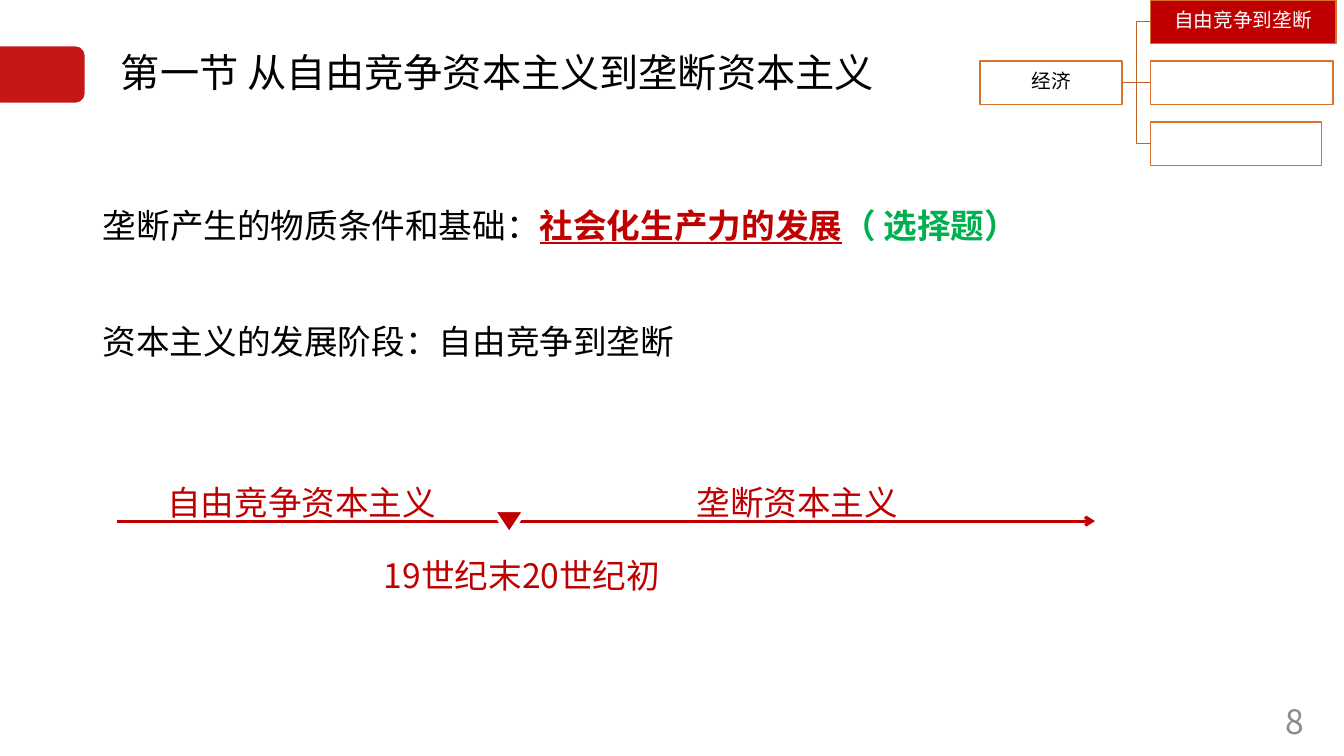
import pptx
import pptx.dml.color
import pptx.enum.shapes
import pptx.enum.text
import pptx.oxml.ns
import pptx.util
from lxml import etree
from pptx.util import Inches

FONT = "Noto Sans CJK SC"
COLORS = {
    "red": "C00000",
    "green": "00B050",
    "black": "000000",
    "white": "FFFFFF",
    "gray": "8C8C8C",
    "box_line": "D7712C",
    "branch": "BE6427",
}
SHAPES = pptx.enum.shapes.MSO_SHAPE
CONNECTORS = pptx.enum.shapes.MSO_CONNECTOR
ALIGN = pptx.enum.text.PP_ALIGN
ANCHOR = pptx.enum.text.MSO_ANCHOR


def rgb(name):
    return pptx.dml.color.RGBColor.from_string(COLORS[name])


def add_child(parent, tag, **attributes):
    return etree.SubElement(parent, pptx.oxml.ns.qn(tag), attributes)


def style_font(font, size, color):
    font.size = pptx.util.Pt(size)
    font.color.rgb = rgb(color)
    font.name = FONT
    add_child(font._element, "a:ea", typeface=FONT)


def write(shape, text, size, color, spacing=1.0, align=ALIGN.LEFT, anchor=ANCHOR.TOP):
    frame = shape.text_frame
    frame.word_wrap = True
    frame.auto_size = pptx.enum.text.MSO_AUTO_SIZE.NONE
    frame.vertical_anchor = anchor
    paragraph = frame.paragraphs[0]
    paragraph.text = text
    paragraph.alignment = align
    paragraph.line_spacing = spacing
    style_font(paragraph.font, size, color)
    return paragraph


def place(shape, left, top, width, height):
    shape.left, shape.top = Inches(left), Inches(top)
    shape.width, shape.height = Inches(width), Inches(height)


def add_label(slide, box, text, size, color, **layout):
    label = slide.shapes.add_textbox(*map(Inches, box))
    write(label, text, size, color, **layout)


def add_block(slide, kind, box, fill, line=None, line_width=1):
    block = slide.shapes.add_shape(kind, *map(Inches, box))
    block.shadow.inherit = False
    block.fill.solid()
    block.fill.fore_color.rgb = rgb(fill)
    if line:
        block.line.color.rgb = rgb(line)
        block.line.width = pptx.util.Pt(line_width)
    else:
        block.line.fill.background()
    return block


def add_line(slide, kind, start, end, color, width, arrow=False):
    line = slide.shapes.add_connector(kind, *map(Inches, start + end))
    line.line.color.rgb = rgb(color)
    line.line.width = pptx.util.Pt(width)
    if arrow:
        add_child(line.line._get_or_add_ln(), "a:tailEnd", type="arrow")
    add_child(line._element.spPr, "a:effectLst")


def add_tree_box(slide, box, text, fill, color):
    node = add_block(slide, SHAPES.RECTANGLE, box, fill, "box_line")
    if text:
        frame = node.text_frame
        frame.margin_left = frame.margin_right = Inches(0.01)
        frame.margin_top = frame.margin_bottom = Inches(0.01)
        write(node, text, 14, color, 0.9, ALIGN.CENTER, ANCHOR.MIDDLE)


def add_topic_tree(slide):
    root_left, root_width, branch_left = 9.72, 1.41, 11.41
    height, pitch = 0.43, 0.605
    root_right, middle = root_left + root_width, pitch + height / 2
    topics = [
        ("自由竞争到垄断", 1.84, "red", "white"),
        ("", 1.81, "white", "black"),
        ("", 1.7, "white", "black"),
    ]
    for row, (text, width, fill, color) in enumerate(topics):
        top = row * pitch
        kind = CONNECTORS.STRAIGHT if row == 1 else CONNECTORS.ELBOW
        add_line(slide, kind, (root_right, middle),
                 (branch_left, top + height / 2), "branch", 1)
        add_tree_box(slide, (branch_left, top, width, height), text, fill, color)
    add_tree_box(slide, (root_left, pitch, root_width, height),
                 "经济", "white", "black")


def add_timeline(slide):
    axis = 5.17
    add_line(slide, CONNECTORS.STRAIGHT, (1.16, axis), (10.86, axis),
             "red", 2.25, arrow=True)
    marker = add_block(slide, SHAPES.ISOSCELES_TRIANGLE, (4.89, 5.06, 0.32, 0.24),
                       "red", "white", 3)
    marker.rotation = 180
    for text, box in [
        ("19世纪末20世纪初", (3.71, 5.26, 3.26, 0.71)),
        ("自由竞争资本主义", (1.56, 4.53, 3.29, 1.24)),
        ("垄断资本主义", (6.81, 4.53, 2.45, 1.24)),
    ]:
        add_label(slide, box, text, 24, "red", spacing=1.5)


def add_condition(body):
    place(body, 0.92, 1.78, 13.82, 0.99)
    paragraph = write(body, "", 24, "black", spacing=1.5)
    paragraph.space_before = pptx.util.Pt(0)
    properties = paragraph._p.get_or_add_pPr()
    properties.set("marL", "0")
    properties.set("indent", "0")
    properties.insert_element_before(
        etree.Element(pptx.oxml.ns.qn("a:buNone")), "a:tabLst", "a:defRPr")
    for text, color, bold, underline in [
        ("垄断产生的物质条件和基础：", "black", False, False),
        ("社会化生产力的发展", "red", True, True),
        ("（ 选择题）", "green", True, False),
    ]:
        run = paragraph.add_run()
        run.text = text
        run.font.bold = bold
        run.font.underline = underline
        style_font(run.font, 24, color)


def main():
    deck = pptx.Presentation()
    deck.slide_width, deck.slide_height = Inches(13.33), Inches(7.5)
    slide = deck.slides.add_slide(deck.slide_layouts[1])

    # Heading with its red tab
    tab = add_block(slide, SHAPES.ROUNDED_RECTANGLE, (-0.08, 0.46, 0.92, 0.56), "red")
    tab_color = tab.fill._xPr.find(".//" + pptx.oxml.ns.qn("a:srgbClr"))
    add_child(tab_color, "a:alpha", val="91000")
    heading = slide.shapes.title
    place(heading, 1.1, 0.39, 11.5, 0.71)
    write(heading, "第一节 从自由竞争资本主义到垄断资本主义", 28, "black",
          spacing=0.9, anchor=ANCHOR.MIDDLE)

    # Statements
    add_condition(slide.placeholders[1])
    add_label(slide, (0.92, 3.13, 7.12, 0.5),
              "资本主义的发展阶段：自由竞争到垄断", 24, "black")

    # Diagrams
    add_timeline(slide)
    add_topic_tree(slide)

    # Page number
    add_label(slide, (9.42, 6.95, 3.61, 0.4), "8", 24, "gray",
              align=ALIGN.RIGHT, anchor=ANCHOR.MIDDLE)
    deck.save("out.pptx")


if __name__ == "__main__":
    main()
